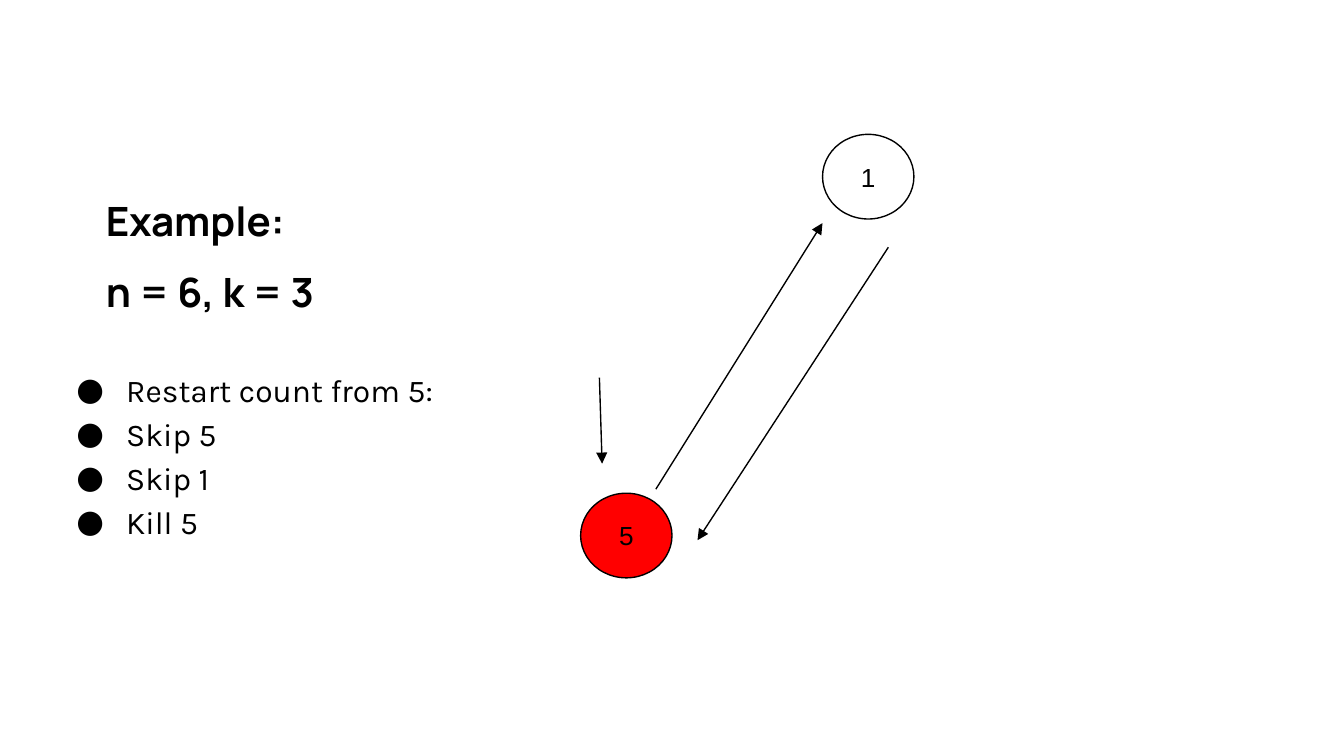
from dataclasses import dataclass

import pptx
import pptx.dml.color
import pptx.enum.shapes
import pptx.enum.text
import pptx.oxml.ns
import pptx.util
from lxml import etree
from pptx.util import Inches

BLACK = pptx.dml.color.RGBColor(0x00, 0x00, 0x00)
RED = pptx.dml.color.RGBColor(0xFF, 0x00, 0x00)
ANCHOR = pptx.enum.text.MSO_ANCHOR
ALIGN = pptx.enum.text.PP_ALIGN

SLIDE_WIDTH = Inches(10)
SLIDE_HEIGHT = SLIDE_WIDTH * 9 // 16
NODE_WIDTH, NODE_HEIGHT = 0.68, 0.63
LINE_WIDTH = pptx.util.Pt(0.75)


@dataclass(frozen=True)
class Node:
    label: str
    left: float
    top: float
    fill: pptx.dml.color.RGBColor | None = None


@dataclass(frozen=True)
class Arrow:
    start: tuple[float, float]
    end: tuple[float, float]


HEADING = ["Example:", "n = 6, k = 3"]
STEPS = ["Restart count from 5:", "Skip 5", "Skip 1", "Kill 5"]
NODES = [Node("1", 6.12, 1), Node("5", 4.32, 3.67, RED)]
ARROWS = [
    Arrow((6.61, 1.84), (5.19, 4.02)),
    Arrow((4.88, 3.64), (6.12, 1.66)),
    Arrow((4.46, 2.81), (4.48, 3.45)),
]

HEADING_FONT = {"name": "Manrope", "size": pptx.util.Pt(21.6), "bold": True}
STEP_FONT = {"name": "Karla", "size": pptx.util.Pt(17)}
NODE_FONT = {"name": "Arial", "size": pptx.util.Pt(14)}


def add_xml(parent, tag: str, **attributes: str):
    return etree.SubElement(parent, pptx.oxml.ns.qn(tag), attributes)


def write_lines(frame, lines: list[str], font: dict, anchor, **paragraph_format) -> None:
    """Fill a text frame with one equally formatted paragraph per line."""
    frame.word_wrap = True
    frame.vertical_anchor = anchor
    for side in ("left", "right", "top", "bottom"):
        setattr(frame, f"margin_{side}", Inches(0.1))
    for index, line in enumerate(lines):
        paragraph = frame.add_paragraph() if index else frame.paragraphs[0]
        for name, value in paragraph_format.items():
            setattr(paragraph, name, value)
        run = paragraph.add_run()
        run.text = line
        for name, value in font.items():
            setattr(run.font, name, value)
        run.font.color.rgb = BLACK


def add_heading(slide) -> None:
    box = slide.shapes.add_textbox(Inches(0.69), Inches(1.38), Inches(3.07), Inches(1.07))
    write_lines(box.text_frame, HEADING, HEADING_FONT, ANCHOR.BOTTOM)
    box.text_frame.paragraphs[1].space_before = pptx.util.Pt(12)


def add_steps(slide) -> None:
    box = slide.shapes.add_textbox(Inches(0.34), Inches(2.62), Inches(3.07), Inches(2.38))
    write_lines(box.text_frame, STEPS, STEP_FONT, ANCHOR.TOP, line_spacing=1.15)
    for paragraph in box.text_frame.paragraphs:
        properties = paragraph._p.get_or_add_pPr()
        properties.set("marL", str(Inches(0.5)))
        properties.set("indent", str(Inches(-0.37)))
        add_xml(add_xml(properties, "a:buClr"), "a:srgbClr", val=str(BLACK))
        add_xml(properties, "a:buFont", typeface=STEP_FONT["name"])
        add_xml(properties, "a:buChar", char="●")


def add_node(slide, node: Node) -> None:
    circle = slide.shapes.add_shape(
        pptx.enum.shapes.MSO_SHAPE.OVAL,
        Inches(node.left), Inches(node.top), Inches(NODE_WIDTH), Inches(NODE_HEIGHT),
    )
    circle.shadow.inherit = False
    if node.fill is None:
        circle.fill.background()
    else:
        circle.fill.solid()
        circle.fill.fore_color.rgb = node.fill
    circle.line.color.rgb = BLACK
    circle.line.width = LINE_WIDTH
    write_lines(circle.text_frame, [node.label], NODE_FONT, ANCHOR.MIDDLE, alignment=ALIGN.CENTER)


def add_arrow(slide, arrow: Arrow) -> None:
    connector = slide.shapes.add_connector(
        pptx.enum.shapes.MSO_CONNECTOR.STRAIGHT,
        *(Inches(length) for length in arrow.start + arrow.end),
    )
    connector.line.color.rgb = BLACK
    connector.line.width = LINE_WIDTH
    add_xml(connector.line._get_or_add_ln(), "a:tailEnd", type="triangle")
    add_xml(connector._element.spPr, "a:effectLst")


def main() -> None:
    presentation = pptx.Presentation()
    presentation.slide_width = SLIDE_WIDTH
    presentation.slide_height = SLIDE_HEIGHT
    slide = presentation.slides.add_slide(presentation.slide_layouts[6])
    add_heading(slide)
    add_steps(slide)
    for node in NODES:
        add_node(slide, node)
    for arrow in ARROWS:
        add_arrow(slide, arrow)
    presentation.save("out.pptx")


if __name__ == "__main__":
    main()
